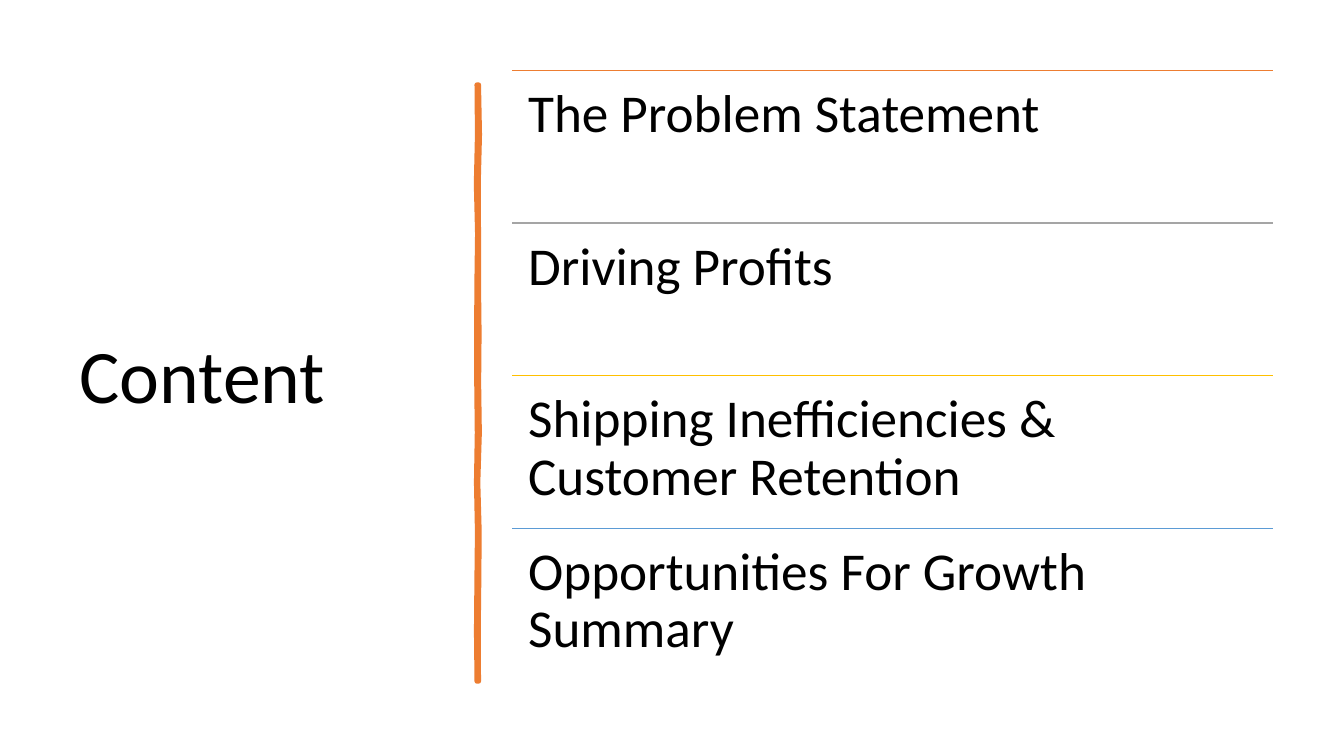
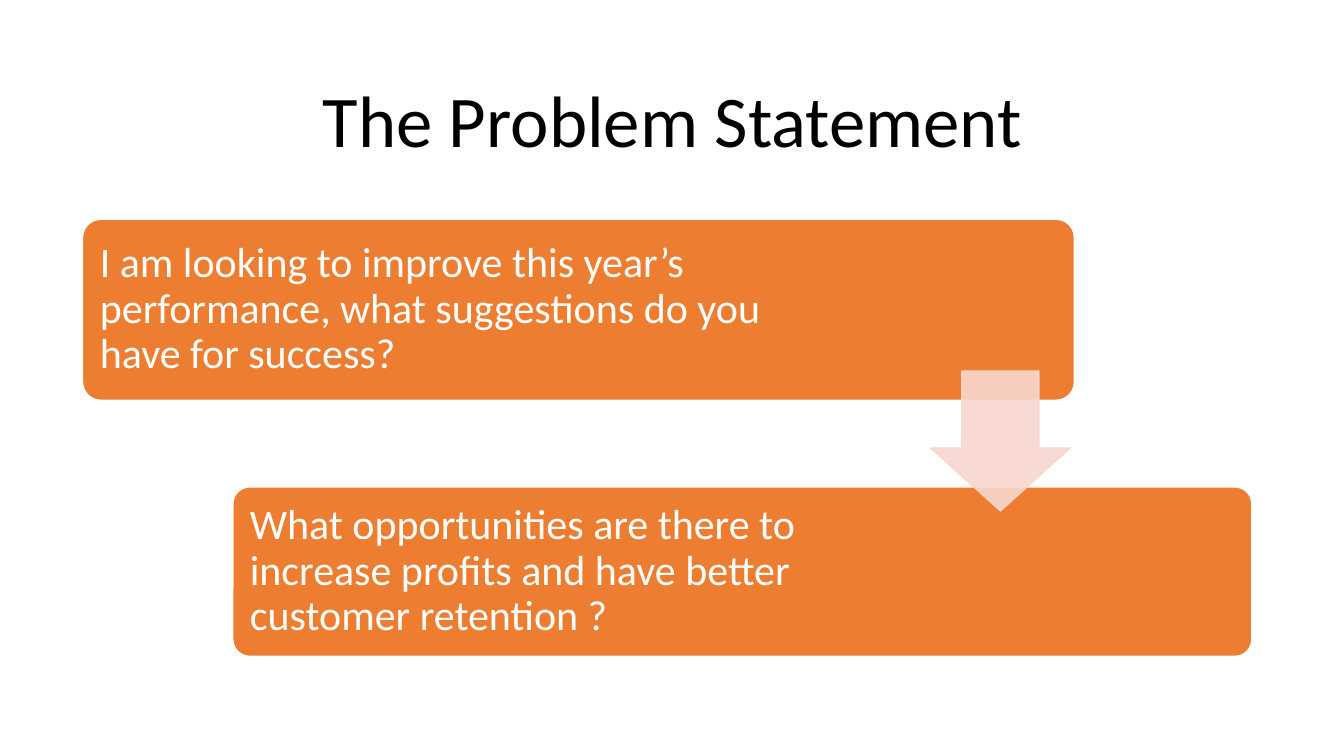
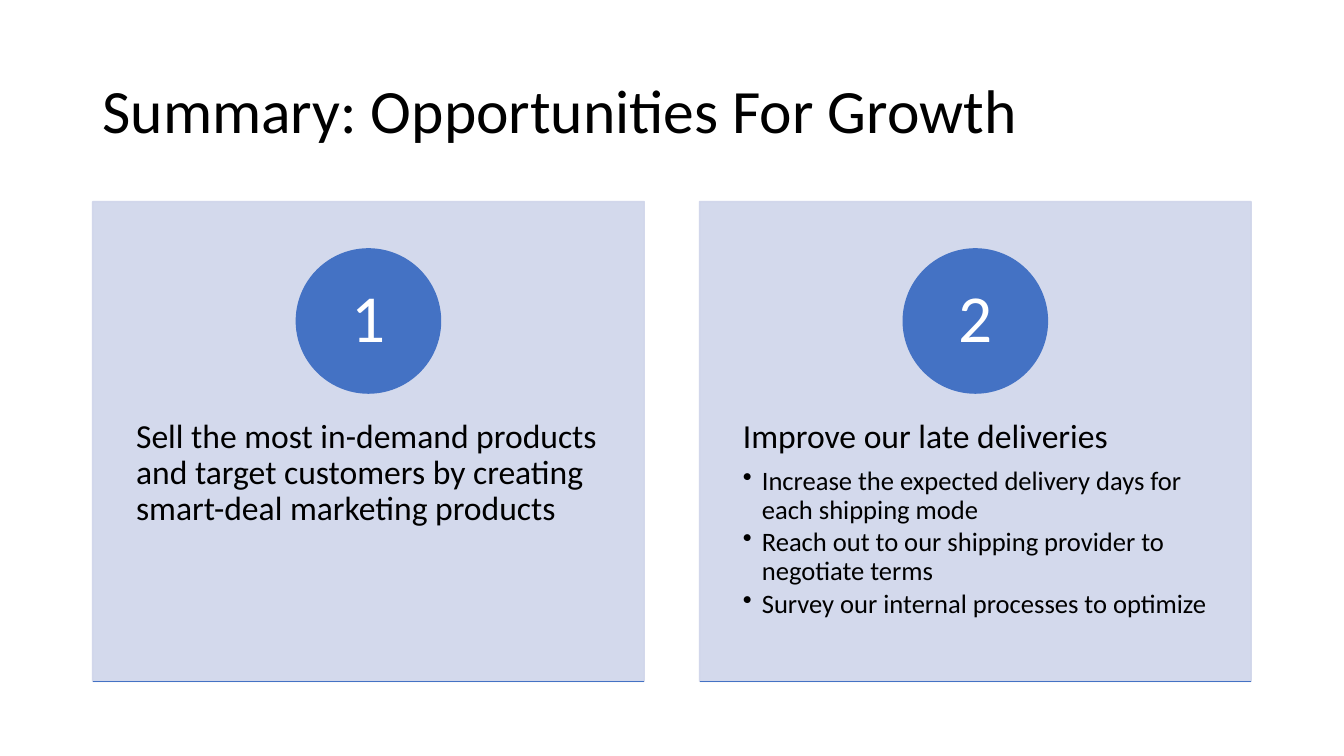
from dataclasses import dataclass

from lxml.etree import SubElement
from pptx import Presentation
from pptx.dml.color import RGBColor
from pptx.enum.shapes import MSO_CONNECTOR, MSO_SHAPE
from pptx.enum.text import MSO_ANCHOR, PP_ALIGN
from pptx.oxml.ns import qn
from pptx.util import Pt

# Shared look
FONT = "Calibri"
COLORS = {
    "black": "000000",
    "white": "FFFFFF",
    "orange": "ED7D31",
    "gray": "A5A5A5",
    "gold": "FFC000",
    "sky": "5B9BD5",
    "blue": "4472C4",
    "pale_orange": "F8D7CE",
    "pale_blue": "CFD5EA",
}


@dataclass(frozen=True)
class Box:
    left: float
    top: float
    width: float
    height: float

    def lengths(self) -> tuple:
        return Pt(self.left), Pt(self.top), Pt(self.width), Pt(self.height)


@dataclass(frozen=True)
class Topic:
    text: str
    color: str


@dataclass(frozen=True)
class Question:
    text: str
    box: Box
    right_inset: float


@dataclass(frozen=True)
class Card:
    heading: str
    bullets: tuple = ()


# Drawing helpers
def rgb(color: str) -> RGBColor:
    return RGBColor.from_string(COLORS[color])


def set_frame(frame, insets: tuple, anchor=MSO_ANCHOR.TOP) -> None:
    frame.word_wrap = True
    frame.vertical_anchor = anchor
    (frame.margin_left, frame.margin_top,
     frame.margin_right, frame.margin_bottom) = (Pt(inset) for inset in insets)


def set_paragraph(paragraph, text: str, size: float, color: str = "black",
                  align=PP_ALIGN.LEFT) -> None:
    paragraph.text = text
    paragraph.alignment = align
    paragraph.line_spacing = 0.9
    paragraph.font.name = FONT
    paragraph.font.size = Pt(size)
    paragraph.font.color.rgb = rgb(color)


def make_bullet(paragraph, indent: float) -> None:
    properties = paragraph._p.get_or_add_pPr()
    properties.set("marL", str(Pt(indent)))
    properties.set("indent", str(-Pt(indent)))
    SubElement(properties, qn("a:buChar")).set("char", "•")


def add_text(slide, box: Box, text: str, size: float, insets: tuple,
             anchor=MSO_ANCHOR.TOP, align=PP_ALIGN.LEFT):
    frame = slide.shapes.add_textbox(*box.lengths()).text_frame
    set_frame(frame, insets, anchor)
    set_paragraph(frame.paragraphs[0], text, size, align=align)
    return frame


def add_title(slide, box: Box, text: str, size: float, align=PP_ALIGN.LEFT) -> None:
    add_text(slide, box, text, size, (7.2, 3.6, 7.2, 3.6), MSO_ANCHOR.MIDDLE, align)


def paint(shape, fill: str, line: str, line_width: float = 1, opacity: int = 100) -> None:
    shape.shadow.inherit = False
    shape.fill.solid()
    shape.fill.fore_color.rgb = rgb(fill)
    shape.line.color.rgb = rgb(line)
    shape.line.width = Pt(line_width)
    if opacity < 100:
        for color in shape.element.spPr.iter(qn("a:srgbClr")):
            SubElement(color, qn("a:alpha")).set("val", str(opacity * 1000))


def add_rule(slide, left: float, top: float, width: float, color: str) -> None:
    rule = slide.shapes.add_connector(
        MSO_CONNECTOR.STRAIGHT, Pt(left), Pt(top), Pt(left + width), Pt(top))
    rule.line.color.rgb = rgb(color)
    rule.line.width = Pt(1)
    SubElement(rule.element.spPr, qn("a:effectLst"))


presentation = Presentation()
presentation.slide_width = Pt(960)
presentation.slide_height = Pt(540)
blank_layout = presentation.slide_layouts[6]

# Slide 1: content
slide = presentation.slides.add_slide(blank_layout)
add_title(slide, Box(49.7, 50.4, 269.3, 440), "Content", 54)

# Hand-drawn vertical stroke: edge offsets at equal steps downwards
STROKE_X, STROKE_TOP, STROKE_BOTTOM = 341.3, 60.5, 486.7
RIGHT_EDGE = (0.7, 1.4, 0.5, 0.7, 0.7, 1.1, 0.8, 1.3, 0.2, 1.2, 0.9, 0.5, 0.7)
LEFT_EDGE = (-0.7, -0.4, -1.2, -0.3, -0.8, -1.0, -0.9, -0.5, -1.1, -0.4, -0.8, -1.1, -0.7)
stroke_step = (STROKE_BOTTOM - STROKE_TOP) / (len(RIGHT_EDGE) - 1)
right_points, left_points = (
    [(Pt(STROKE_X + offset), Pt(STROKE_TOP + index * stroke_step))
     for index, offset in enumerate(edge)]
    for edge in (RIGHT_EDGE, LEFT_EDGE))
builder = slide.shapes.build_freeform(*right_points[0])
builder.add_line_segments(right_points[1:] + left_points[::-1], close=True)
paint(builder.convert_to_shape(), "orange", "orange", 3.25)

# Topics under coloured rules
TOPICS = (
    Topic("The Problem Statement", "orange"),
    Topic("Driving Profits", "gray"),
    Topic("Shipping Inefficiencies & Customer Retention", "gold"),
    Topic("Opportunities For Growth Summary", "sky"),
)
TOPIC_LEFT, TOPIC_TOP, TOPIC_WIDTH, TOPIC_HEIGHT = 365.8, 50.4, 543.6, 109
for index, topic in enumerate(TOPICS):
    top = TOPIC_TOP + index * TOPIC_HEIGHT
    add_rule(slide, TOPIC_LEFT, top, TOPIC_WIDTH, topic.color)
    add_text(slide, Box(TOPIC_LEFT, top, TOPIC_WIDTH, TOPIC_HEIGHT),
             topic.text, 38, (11.4,) * 4)

# Slide 2: problem statement
slide = presentation.slides.add_slide(blank_layout)
add_title(slide, Box(66.2, 43.9, 828, 89.3), "The Problem Statement", 52, PP_ALIGN.CENTER)

QUESTIONS = (
    Question("I am looking to improve this year’s performance, "
             "what suggestions do you have for success?",
             Box(59, 156.6, 708.5, 129.3), 160.5),
    Question("What opportunities are there to increase profits "
             "and have better customer retention ?",
             Box(166.3, 347.8, 727.9, 121), 240.5),
)
for question in QUESTIONS:
    panel = slide.shapes.add_shape(MSO_SHAPE.ROUNDED_RECTANGLE, *question.box.lengths())
    panel.adjustments[0] = 0.1
    paint(panel, "orange", "white")
    set_frame(panel.text_frame, (8.6, 8.6, question.right_inset, 8.6), MSO_ANCHOR.MIDDLE)
    set_paragraph(panel.text_frame.paragraphs[0], question.text, 30, "white")

arrow = slide.shapes.add_shape(MSO_SHAPE.DOWN_ARROW, *Box(664.6, 265, 100, 100).lengths())
arrow.adjustments[0] = 0.55
arrow.adjustments[1] = 0.45
paint(arrow, "pale_orange", "pale_orange", opacity=90)

# Slide 3: summary
slide = presentation.slides.add_slide(blank_layout)
add_title(slide, Box(66.2, 28.8, 828, 104.4), "Summary: Opportunities For Growth", 44)

CARDS = (
    Card("Sell the most in-demand products and target customers "
         "by creating smart-deal marketing products"),
    Card("Improve our late deliveries", (
        "Increase the expected delivery days for each shipping mode",
        "Reach out to our shipping provider to negotiate terms",
        "Survey our internal processes to optimize",
    )),
)
CARD_LEFT, CARD_TOP, CARD_WIDTH, CARD_HEIGHT, CARD_PITCH = 66.2, 144, 394, 342.7, 433.5
CIRCLE_SIZE = 103
for index, card in enumerate(CARDS):
    left = CARD_LEFT + index * CARD_PITCH
    background = slide.shapes.add_shape(
        MSO_SHAPE.RECTANGLE, *Box(left, CARD_TOP, CARD_WIDTH, CARD_HEIGHT).lengths())
    paint(background, "pale_blue", "pale_blue", opacity=90)

    frame = add_text(slide, Box(left, 273.6, CARD_WIDTH, 206), card.heading, 24,
                     (31, 25.9, 31, 25.9))
    if card.bullets:
        frame.paragraphs[0].space_after = Pt(8.4)
    for bullet in card.bullets:
        paragraph = frame.add_paragraph()
        set_paragraph(paragraph, bullet, 19)
        paragraph.level = 1
        paragraph.space_after = Pt(2.9)
        make_bullet(paragraph, 13.5)

    circle = slide.shapes.add_shape(
        MSO_SHAPE.OVAL,
        *Box(left + (CARD_WIDTH - CIRCLE_SIZE) / 2, 177.8, CIRCLE_SIZE, CIRCLE_SIZE).lengths())
    paint(circle, "blue", "blue")
    set_frame(circle.text_frame, (8, 0.8, 8, 0.8), MSO_ANCHOR.MIDDLE)
    set_paragraph(circle.text_frame.paragraphs[0], str(index + 1), 48, "white",
                  PP_ALIGN.CENTER)
    add_rule(slide, left, CARD_TOP + CARD_HEIGHT, CARD_WIDTH, "blue")

presentation.save("out.pptx")
